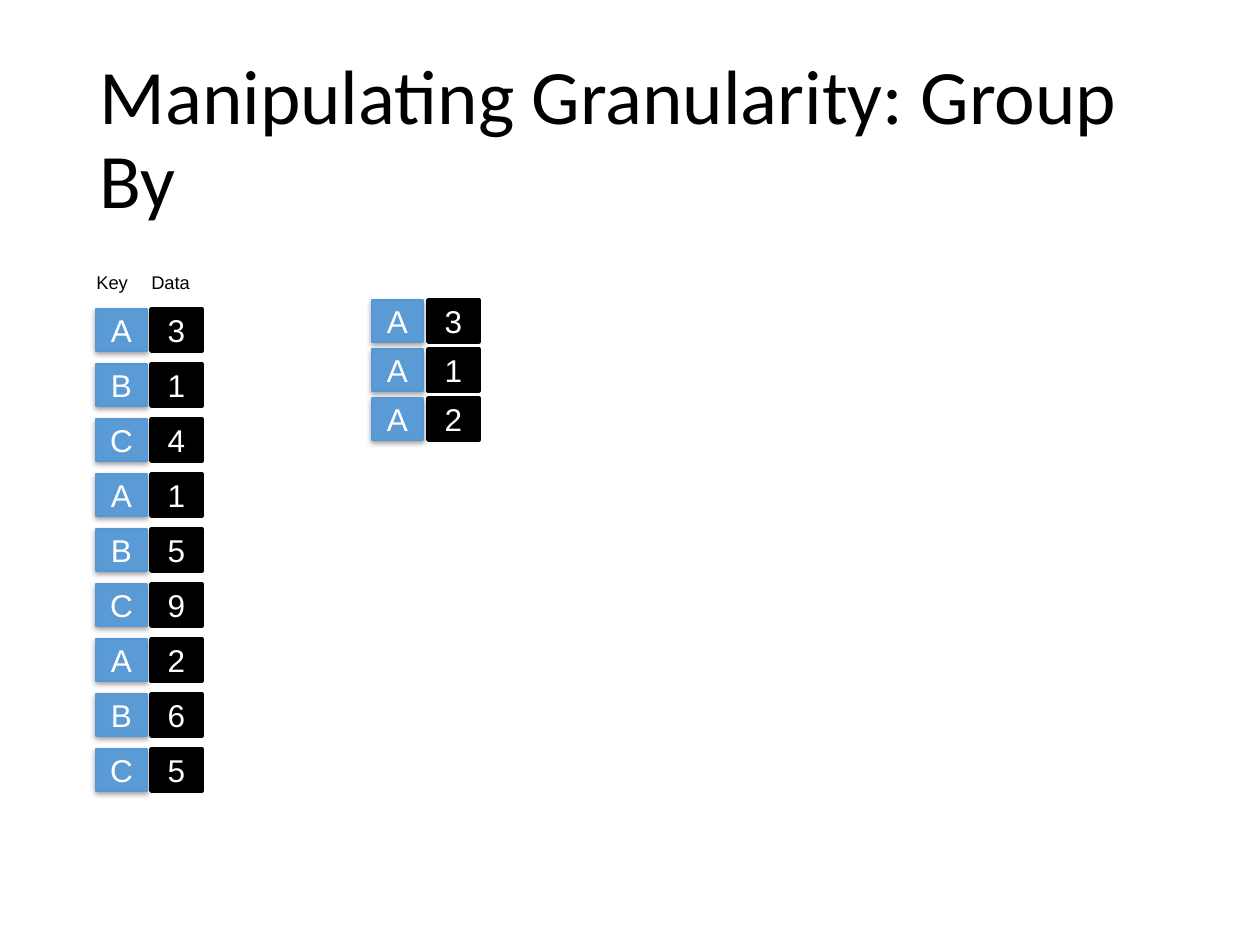
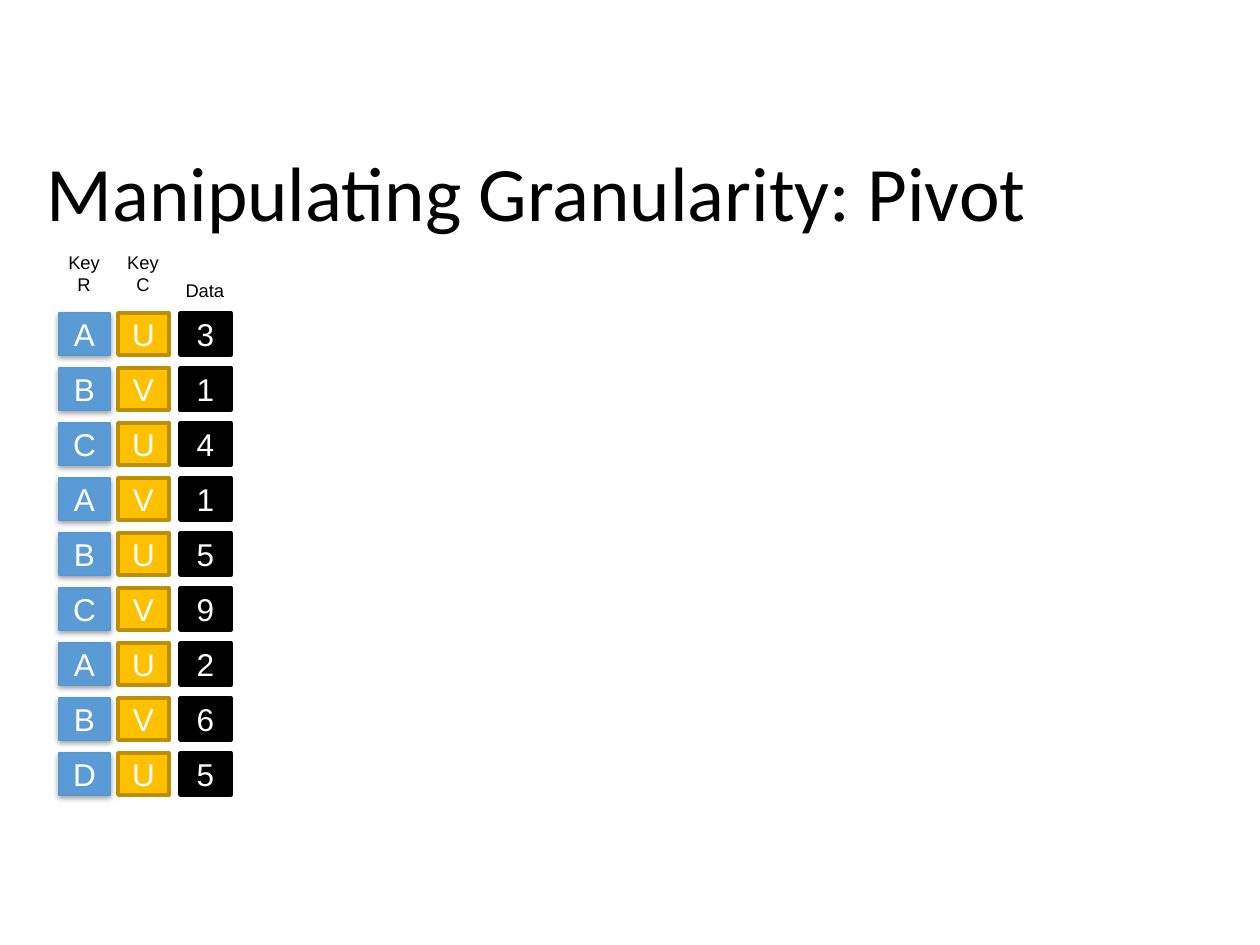
from collections import namedtuple

from lxml.etree import SubElement
from pptx import Presentation
from pptx.dml.color import RGBColor
from pptx.enum.shapes import MSO_SHAPE
from pptx.enum.text import MSO_ANCHOR, MSO_AUTO_SIZE, PP_ALIGN
from pptx.oxml.ns import qn
from pptx.util import Emu, Pt

# Shared colours and fonts
BLACK = RGBColor(0x00, 0x00, 0x00)
WHITE = RGBColor(0xFF, 0xFF, 0xFF)
BLUE = RGBColor(0x5B, 0x9B, 0xD5)
BLUE_EDGE = RGBColor(0x56, 0x98, 0xD3)
GOLD = RGBColor(0xFF, 0xC0, 0x00)
GOLD_EDGE = RGBColor(0xBD, 0x8E, 0x00)
TITLE_FONT = "Calibri"
BODY_FONT = "Arial"

# Shared geometry, in px
PX_PER_INCH = 126
CELL_WIDTH, CELL_HEIGHT = 51, 42
ROW_PITCH = 55
GROUP_PITCH = 49

CellStyle = namedtuple("CellStyle", "fill edge edge_width shadow")
ROW_KEY = CellStyle(BLUE, BLUE_EDGE, 0.75, True)
COLUMN_KEY = CellStyle(GOLD, GOLD_EDGE, 2, False)
DATA = CellStyle(BLACK, BLACK, 2, False)


def px(length):
    return Emu(round(length * 914400 / PX_PER_INCH))


class Deck:
    def __init__(self):
        self.presentation = Presentation()
        self.presentation.slide_width = px(1260)
        self.presentation.slide_height = px(945)
        self.slide = None

    def add_slide(self):
        blank_layout = self.presentation.slide_layouts[6]
        self.slide = self.presentation.slides.add_slide(blank_layout)

    def style_text(self, text_frame, font_name, size, color, align):
        for paragraph in text_frame.paragraphs:
            paragraph.alignment = align
            paragraph.font.name = font_name
            paragraph.font.size = Pt(size)
            paragraph.font.color.rgb = color

    def title(self, text, left, top, width, height):
        box = self.slide.shapes.add_textbox(px(left), px(top), px(width), px(height))
        frame = box.text_frame
        frame.text = text
        frame.word_wrap = True
        frame.vertical_anchor = MSO_ANCHOR.MIDDLE
        frame.paragraphs[0].line_spacing = 0.9
        self.style_text(frame, TITLE_FONT, 44, BLACK, PP_ALIGN.LEFT)

    def label(self, text, left, top, width, height=35, align=PP_ALIGN.CENTER):
        box = self.slide.shapes.add_textbox(px(left), px(top), px(width), px(height))
        frame = box.text_frame
        frame.text = text
        frame.word_wrap = False
        frame.auto_size = MSO_AUTO_SIZE.SHAPE_TO_FIT_TEXT
        self.style_text(frame, BODY_FONT, 10.5, BLACK, align)

    def cell(self, group, text, left, top, style):
        shape = group.shapes.add_shape(
            MSO_SHAPE.RECTANGLE, px(left), px(top), px(CELL_WIDTH), px(CELL_HEIGHT))
        shape.fill.solid()
        shape.fill.fore_color.rgb = style.fill
        shape.line.color.rgb = style.edge
        shape.line.width = Pt(style.edge_width)
        shape.shadow.inherit = False
        if style.shadow:
            self.drop_shadow(shape)
        shape.text_frame.text = text
        shape.text_frame.vertical_anchor = MSO_ANCHOR.MIDDLE
        self.style_text(shape.text_frame, BODY_FONT, 18, WHITE, PP_ALIGN.CENTER)

    def drop_shadow(self, shape):
        effects = shape.element.spPr.find(qn("a:effectLst"))
        shadow = SubElement(effects, qn("a:outerShdw"), blurRad="40000",
                            dist="20000", dir="5400000", rotWithShape="0")
        color = SubElement(shadow, qn("a:srgbClr"), val=str(BLACK))
        SubElement(color, qn("a:alpha"), val="38000")

    def records(self, rows, columns, top, pitch=ROW_PITCH):
        """Draw one group per row; columns pairs each left edge with a style."""
        for index, row in enumerate(rows):
            group = self.slide.shapes.add_group_shape()
            for text, (left, style) in zip(row, columns):
                self.cell(group, text, left, top + index * pitch, style)


def main():
    deck = Deck()

    # Group by: the full list, then the rows that share key A
    deck.add_slide()
    deck.title("Manipulating Granularity: Group By", 87, 50, 1086, 183)
    deck.label("Key", 84, 265, 58, align=PP_ALIGN.LEFT)
    deck.label("Data", 139, 265, 64, align=PP_ALIGN.LEFT)
    records = list(zip("ABCABCABC", "314159265"))
    deck.records([record for record in records if record[0] == "A"],
                 [(372, ROW_KEY), (428, DATA)], 300, GROUP_PITCH)
    deck.records(records, [(96, ROW_KEY), (151, DATA)], 309)

    # Pivot: each record has a row key, a column key and a value
    deck.add_slide()
    deck.title("Manipulating Granularity: Pivot", 34, 128, 1116, 137)
    deck.label("Key\nR", 55, 245, 58, 56)
    deck.label("Key\nC", 114, 245, 58, 56)
    deck.label("Data", 173, 273, 64)
    deck.records(zip("ABCABCABD", "UVUVUVUVU", "314159265"),
                 [(59, ROW_KEY), (118, COLUMN_KEY), (180, DATA)], 313)

    deck.presentation.save("out.pptx")


if __name__ == "__main__":
    main()
